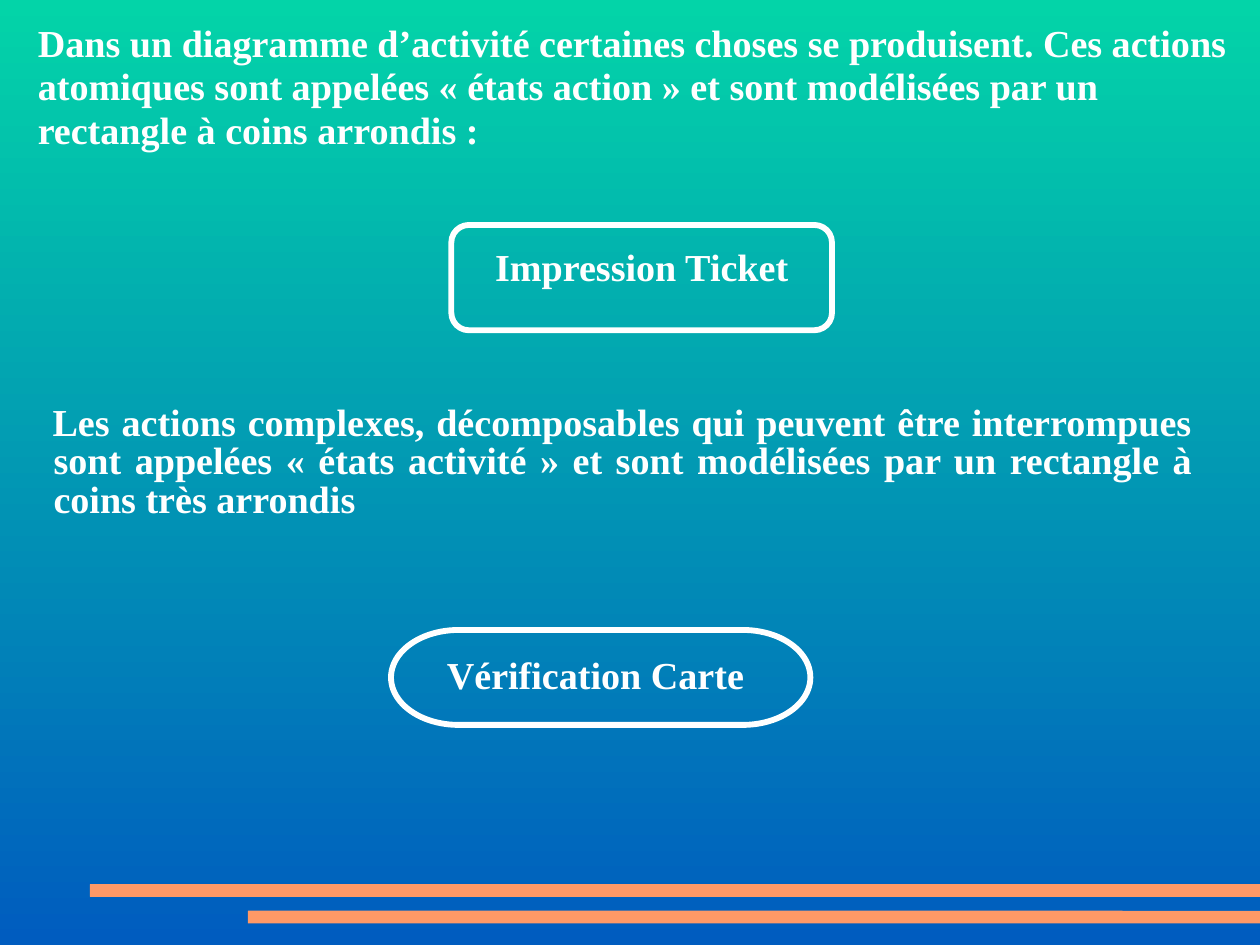
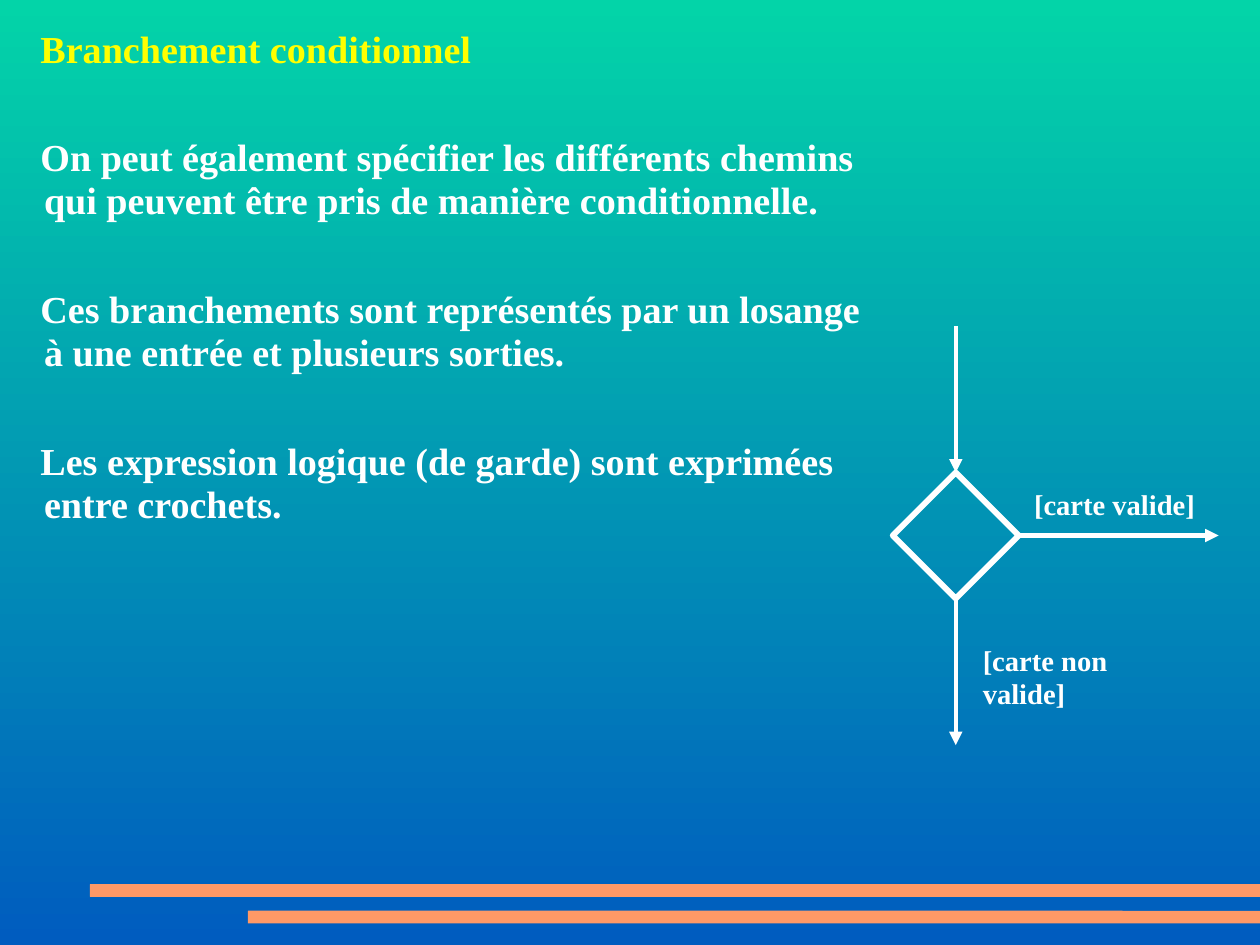
from lxml import etree
from pptx import Presentation
from pptx.dml.color import RGBColor
from pptx.enum.shapes import MSO_CONNECTOR, MSO_SHAPE
from pptx.enum.text import MSO_ANCHOR, PP_ALIGN
from pptx.oxml.ns import qn
from pptx.util import Cm, Pt

ROUNDED = MSO_SHAPE.ROUNDED_RECTANGLE
TERMINATOR = MSO_SHAPE.FLOWCHART_TERMINATOR
DIAMOND = MSO_SHAPE.DIAMOND
STRAIGHT = MSO_CONNECTOR.STRAIGHT
TOP = MSO_ANCHOR.TOP
LEFT, CENTER, JUSTIFY = PP_ALIGN.LEFT, PP_ALIGN.CENTER, PP_ALIGN.JUSTIFY

COLORS = {name: RGBColor.from_string(value) for name, value in {
    "sky": "03D4A8", "deep": "005CBF", "band": "FF9966",
    "text": "FFFFFF", "title": "FFFF00"}.items()}
FONT = "Times New Roman"


def write(box, texts, size=24, align=LEFT, insets=(0, 0, 0, 0), wrap=True,
          spacing=0.95, gap=0, indent=(0, 0)):
    """Fill a box with bold paragraphs; insets are left, top, right, bottom."""
    frame = box.text_frame
    frame.word_wrap = wrap
    frame.vertical_anchor = TOP
    (frame.margin_left, frame.margin_top,
     frame.margin_right, frame.margin_bottom) = map(Cm, insets)
    for index, text in enumerate(texts):
        para = frame.add_paragraph() if index else frame.paragraphs[0]
        para.text = text
        para.alignment = align
        para.line_spacing = spacing
        if index:
            para.space_before = Pt(gap)
        if any(indent):
            properties = para._p.get_or_add_pPr()
            properties.set("marL", str(Cm(indent[0])))
            properties.set("indent", str(Cm(indent[1])))
        para.font.name = FONT
        para.font.size = Pt(size)
        para.font.bold = True
        para.font.color.rgb = COLORS["text"]


def add_outline(page, kind, left, top, width, height):
    """Add an unfilled shape with a thick white outline."""
    shape = page.shapes.add_shape(kind, Cm(left), Cm(top), Cm(width), Cm(height))
    shape.shadow.inherit = False
    shape.fill.background()
    shape.line.color.rgb = COLORS["text"]
    shape.line.width = Pt(3.69)
    return shape


deck = Presentation()
deck.slide_width, deck.slide_height = Cm(28), Cm(21)

# Shared background
fill = deck.slide_master.background.fill
fill.gradient()
fill.gradient_angle = 270
for stop, name in zip(fill.gradient_stops, ("sky", "deep")):
    stop.color.rgb = COLORS[name]

# Pages with the two footer bands
pages = [deck.slides.add_slide(deck.slide_layouts[6]) for _ in range(2)]
for page in pages:
    for left, top in ((2, 19.65), (5.51, 20.24)):
        band = page.shapes.add_shape(ROUNDED, Cm(left), Cm(top), Cm(28 - left), Cm(0.28))
        band.adjustments[0] = 0.02
        band.shadow.inherit = False
        band.fill.solid()
        band.fill.fore_color.rgb = COLORS["band"]
        band.line.fill.background()
states_page, branch_page = pages

# Action states and activity states
intro = states_page.shapes.add_textbox(Cm(0.64), Cm(0.5), Cm(26.87), Cm(3.2))
write(intro, ["Dans un diagramme d’activité certaines choses se produisent. Ces actions "
              "atomiques sont appelées « états action » et sont modélisées par un "
              "rectangle à coins arrondis :"], indent=(0.2, 0))

action = add_outline(states_page, ROUNDED, 10.03, 5, 8.46, 2.34)
write(action, ["Impression Ticket"], align=CENTER, insets=(0, 0.37, 0, 0))

complex_text = states_page.shapes.add_textbox(Cm(0.99), Cm(9), Cm(25.5), Cm(2.87))
write(complex_text, ["Les actions complexes, décomposables qui peuvent être interrompues "
                     "sont appelées « états activité » et sont modélisées par un "
                     "rectangle à coins très arrondis"],
      align=JUSTIFY, spacing=0.85, indent=(0.2, -0.02))

activity = add_outline(states_page, TERMINATOR, 8.69, 14, 9.32, 2.11)
write(activity, ["Vérification Carte"], align=CENTER, insets=(0, 0.25, 0.23, 0))

# Conditional branching: title and explanations
PADDING = (0.25, 0.13, 0.25, 0.13)
body = branch_page.shapes.add_textbox(Cm(0.5), Cm(0.5), Cm(19), Cm(14.5))
write(body, ["Branchement conditionnel",
             "On peut également spécifier les différents chemins qui peuvent être pris "
             "de manière conditionnelle.",
             "Ces branchements sont représentés par un losange à une entrée et plusieurs "
             "sorties.",
             "Les expression logique (de garde) sont exprimées entre crochets."],
      insets=PADDING, gap=41, indent=(0.23, -0.08))
body.text_frame.paragraphs[0].font.color.rgb = COLORS["title"]

# Decision diamond with one entry and two exits
center_x, center_y, radius, reach = 21.24, 11.9, 1.4, 3.26
add_outline(branch_page, DIAMOND, center_x - radius, center_y - radius,
            2 * radius, 2 * radius)
arrows = [
    (center_x, center_y - radius - reach, center_x, center_y - radius),
    (center_x, center_y + radius, center_x, center_y + radius + reach),
    (center_x + radius, center_y, 27.08, center_y),
]
for ends in arrows:
    arrow = branch_page.shapes.add_connector(STRAIGHT, *map(Cm, ends))
    arrow.line.color.rgb = COLORS["text"]
    arrow.line.width = Pt(2.83)
    etree.SubElement(arrow.line._get_or_add_ln(), qn("a:tailEnd"), type="triangle")
    etree.SubElement(arrow._element.spPr, qn("a:effectLst"))

# Guard labels
for guard, left, top, width in (("[carte valide]", 22.73, 10.74, 4.09),
                                ("[carte non valide]", 21.59, 14.22, 5.26)):
    label = branch_page.shapes.add_textbox(Cm(left), Cm(top), Cm(width), Cm(1))
    write(label, [guard], size=18, insets=PADDING, wrap=False)

deck.save("out.pptx")
